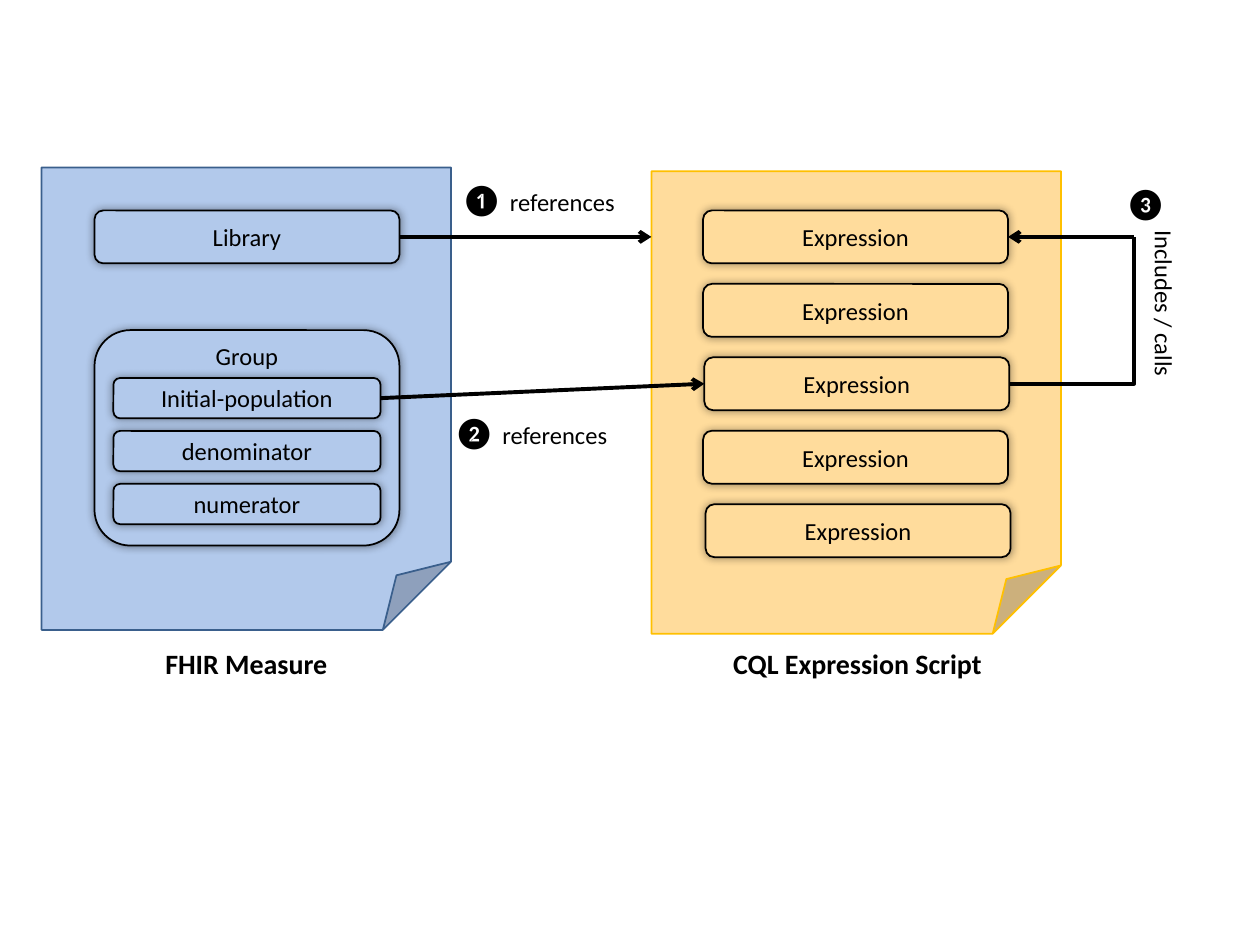
from lxml import etree
from pptx import Presentation
from pptx.dml.color import RGBColor
from pptx.enum.shapes import MSO_CONNECTOR, MSO_SHAPE
from pptx.enum.text import MSO_ANCHOR, PP_ALIGN
from pptx.oxml.ns import qn
from pptx.util import Inches, Pt

FOLDED, ROUNDED = MSO_SHAPE.FOLDED_CORNER, MSO_SHAPE.ROUNDED_RECTANGLE
STRAIGHT, ELBOW = MSO_CONNECTOR.STRAIGHT, MSO_CONNECTOR.ELBOW
CENTER, LEFT = PP_ALIGN.CENTER, PP_ALIGN.LEFT
MIDDLE, TOP = MSO_ANCHOR.MIDDLE, MSO_ANCHOR.TOP
LEFT_SIDE, RIGHT_SIDE = 1, 3
FONT = "Calibri"
COLORS = {"blue": "B2C9EB", "blue_edge": "3A5F8C", "gold": "FFDC9C",
          "gold_edge": "FFC000", "black": "000000"}

# Content
POPULATIONS = ["Initial-population", "denominator", "numerator"]
EXPRESSIONS = [("Expression", nudge) for nudge in (0, 0, 0.01, 0, 0.02)]
# left, top, width, height, runs of (text, size, bold), alignment, rotation
LABELS = [
    (3.56, 1.38, 1.75, 0.4, [("❶ ", 18, False), ("references", 14, False)], LEFT, 0),
    (3.5, 3.23, 1.75, 0.4, [("❷ ", 18, False), ("references", 14, False)], LEFT, 0),
    (8.83, 1.41, 0.58, 0.4, [("❸", 18, False)], LEFT, 0),
    (8.44, 2.36, 1.6, 0.34, [("Includes / calls", 14, False)], LEFT, 90),
    (1.12, 5.08, 1.67, 0.37, [("FHIR Measure", 16, True)], CENTER, 0),
    (5.47, 5.08, 2.67, 0.37, [("CQL Expression Script", 16, True)], CENTER, 0),
]

# Grid, in inches
PAGE_W, PAGE_H = 3.25, 3.67
MEASURE_LEFT, SCRIPT_LEFT = 0.33, 5.17
BOX_W, BOX_H, FIRST_ROW = 2.42, 0.42, 1.67
LIBRARY_LEFT, EXPRESSION_LEFT, EXPRESSION_STEP = 0.75, 5.58, 0.583
GROUP_TOP, GROUP_H = 2.62, 1.71
POPULATION_LEFT, POPULATION_W, POPULATION_H = 0.9, 2.12, 0.32
POPULATION_TOP, POPULATION_STEP = 3, 0.42
LOOP_RIGHT = 9

prs = Presentation()
prs.slide_width, prs.slide_height = Inches(10), Inches(7.5)
slide = prs.slides.add_slide(prs.slide_layouts[6])


def rgb(name):
    return RGBColor.from_string(COLORS[name])


def write(frame, runs, align):
    paragraph = frame.paragraphs[0]
    paragraph.alignment = align
    for text, size, bold in runs:
        run = paragraph.add_run()
        run.text = text
        run.font.name, run.font.size, run.font.bold = FONT, Pt(size), bold
        run.font.color.rgb = rgb("black")


def add_panel(kind, left, top, width, height, fill, edge):
    panel = slide.shapes.add_shape(
        kind, Inches(left), Inches(top), Inches(width), Inches(height))
    panel.shadow.inherit = False
    panel.fill.solid()
    panel.fill.fore_color.rgb = rgb(fill)
    panel.line.color.rgb = rgb(edge)
    panel.line.width = Pt(1)
    return panel


def add_box(text, left, top, width, height, fill, anchor=MIDDLE):
    box = add_panel(ROUNDED, left, top, width, height, fill, "black")
    # Soft glow-like shadow around the box
    effects = box._element.spPr.find(qn("a:effectLst"))
    shadow = etree.SubElement(effects, qn("a:outerShdw"), blurRad=str(Pt(5)),
                              dist="0", dir="0", algn="ctr", rotWithShape="0")
    color = etree.SubElement(shadow, qn("a:srgbClr"), val=COLORS["black"])
    etree.SubElement(color, qn("a:alpha"), val="40000")
    frame = box.text_frame
    frame.word_wrap = True
    frame.vertical_anchor = anchor
    frame.margin_top = frame.margin_bottom = 0
    write(frame, [(text, 14, False)], CENTER)
    return box


def add_link(start, end, kind=STRAIGHT, arrow=True):
    link = slide.shapes.add_connector(kind, *(Inches(v) for v in (*start, *end)))
    link.line.color.rgb = rgb("black")
    link.line.width = Pt(2.25)
    if arrow:
        etree.SubElement(link.line._get_or_add_ln(), qn("a:tailEnd"), type="arrow")
    etree.SubElement(link._element.spPr, qn("a:effectLst"))
    return link


# Expression script
add_panel(FOLDED, SCRIPT_LEFT, 1.36, PAGE_W, PAGE_H, "gold", "gold_edge")
expressions = [
    add_box(text, EXPRESSION_LEFT + nudge, FIRST_ROW + row * EXPRESSION_STEP,
            BOX_W, BOX_H, "gold")
    for row, (text, nudge) in enumerate(EXPRESSIONS)]

# Measure with its library and group
add_panel(FOLDED, MEASURE_LEFT, 1.33, PAGE_W, PAGE_H, "blue", "blue_edge")
library = add_box("Library", LIBRARY_LEFT, FIRST_ROW, BOX_W, BOX_H, "blue")
add_box("Group", LIBRARY_LEFT, GROUP_TOP, BOX_W, GROUP_H, "blue", TOP)
populations = [
    add_box(text, POPULATION_LEFT, POPULATION_TOP + row * POPULATION_STEP,
            POPULATION_W, POPULATION_H, "blue")
    for row, text in enumerate(POPULATIONS)]

# References from measure to script
first_y = FIRST_ROW + BOX_H / 2
third_y = first_y + 2 * EXPRESSION_STEP
library_link = add_link((LIBRARY_LEFT + BOX_W, first_y), (SCRIPT_LEFT, first_y))
library_link.begin_connect(library, RIGHT_SIDE)
population_link = add_link(
    (POPULATION_LEFT + POPULATION_W, POPULATION_TOP + POPULATION_H / 2),
    (EXPRESSION_LEFT, third_y))
population_link.begin_connect(populations[0], RIGHT_SIDE)
population_link.end_connect(expressions[2], LEFT_SIDE)

# Call loop from the third expression back to the first
expression_right = EXPRESSION_LEFT + BOX_W
call_loop = add_link((expression_right + EXPRESSIONS[2][1], third_y),
                     (LOOP_RIGHT, first_y), ELBOW, arrow=False)
call_loop._element.spPr.find(qn("a:prstGeom")).set("prst", "bentConnector2")
call_return = add_link((LOOP_RIGHT, first_y), (expression_right, first_y))
call_return.end_connect(expressions[0], RIGHT_SIDE)

# Step labels and captions
for left, top, width, height, runs, align, rotation in LABELS:
    label = slide.shapes.add_textbox(
        Inches(left), Inches(top), Inches(width), Inches(height))
    label.rotation = rotation
    label.text_frame.word_wrap = True
    write(label.text_frame, runs, align)

prs.save("out.pptx")
